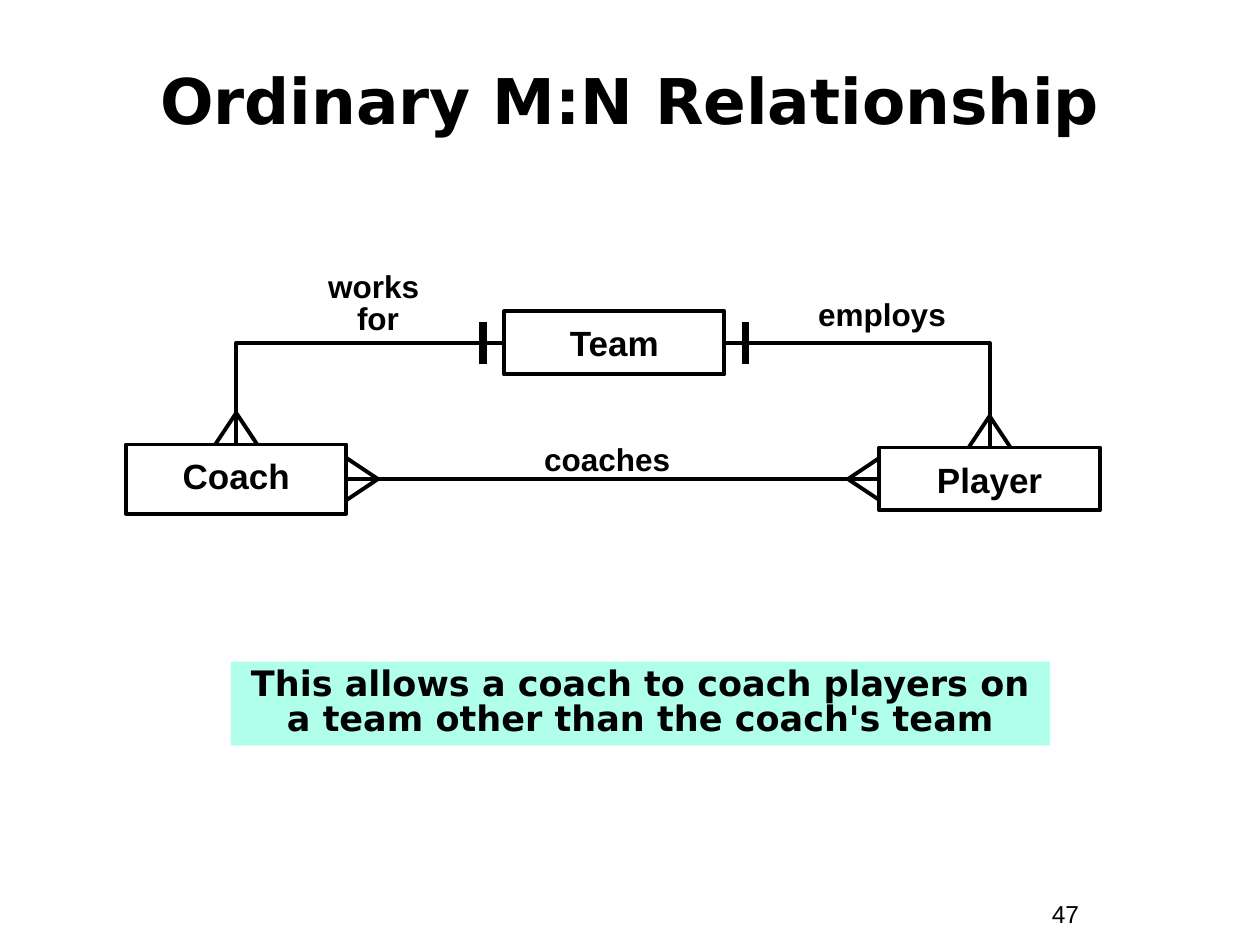
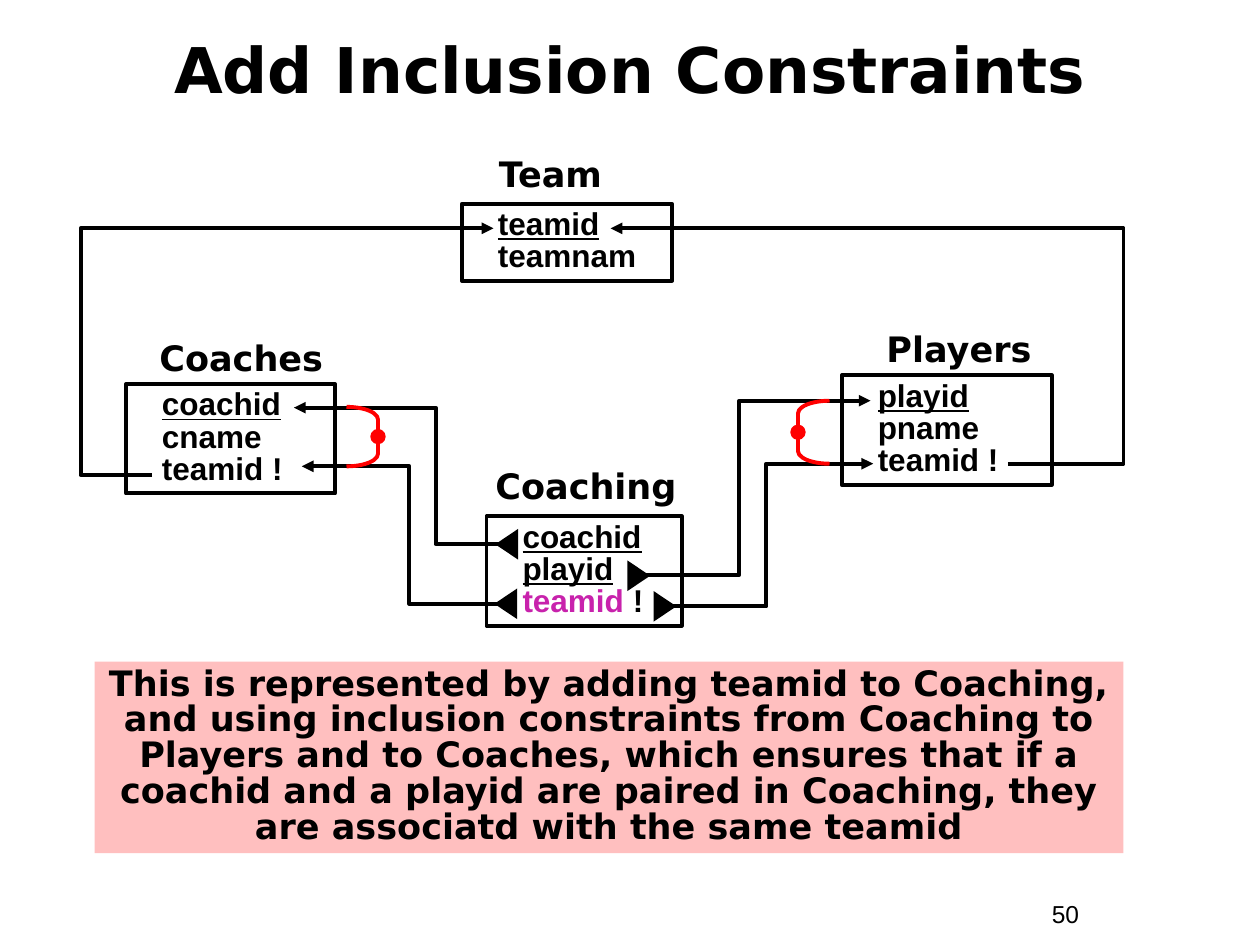
from dataclasses import dataclass
from typing import Optional

from lxml import etree
from pptx import Presentation
from pptx import util as u
from pptx.dml.color import RGBColor
from pptx.enum import shapes, text
from pptx.oxml.ns import qn

INK = RGBColor(0x00, 0x00, 0x00)
MINT = RGBColor(0xAF, 0xFF, 0xEA)
PINK = RGBColor(0xFF, 0xBF, 0xBF)
RED = RGBColor(0xFF, 0x00, 0x00)
MAGENTA = RGBColor(0xC8, 0x22, 0xAC)

SANS = "Arial"
DISPLAY = "DejaVu Sans"
STROKE = 2.25
TIGHT = 0.85
TOP, LEFT, BOTTOM, RIGHT = range(4)
OUTWARD = {TOP: (0, -1), LEFT: (-1, 0), BOTTOM: (0, 1), RIGHT: (1, 0)}
FOOT_LENGTH, HALF_FOOT = 18, 12
BAR_GAP, HALF_BAR = 12, 12

Point = tuple[float, float]


@dataclass(frozen=True)
class Box:
    left: float
    top: float
    width: float
    height: float

    def lengths(self) -> list[int]:
        return [u.Pt(v) for v in (self.left, self.top, self.width, self.height)]

    def side(self, side: int) -> Point:
        dx, dy = OUTWARD[side]
        return (self.left + self.width * (1 + dx) / 2,
                self.top + self.height * (1 + dy) / 2)


@dataclass(frozen=True)
class Field:
    name: str
    key: bool = False
    color: RGBColor = INK
    mark: str = ""


@dataclass(frozen=True)
class Relation:
    heading: str
    heading_at: Point
    box: Box
    fields: tuple[Field, ...]


@dataclass(frozen=True)
class Reference:
    start: Point
    end: Point
    bend_x: float


@dataclass(frozen=True)
class Label:
    words: str
    box: Box
    spacing: float = TIGHT


@dataclass(frozen=True)
class Constraint:
    box: Box
    kind: int
    bulge: int


def write(paragraph, words: str, *, size: float, font: str = SANS, bold: bool = True,
          color: RGBColor = INK, underline: bool = False, spacing: float = 1,
          align: int = text.PP_ALIGN.LEFT) -> None:
    paragraph.alignment = align
    paragraph.line_spacing = spacing
    for index, piece in enumerate(words.split("\v")):
        if index:
            paragraph.add_line_break()
        run = paragraph.add_run()
        run.text = piece
        run.font.name = font
        run.font.size = u.Pt(size)
        run.font.bold = bold
        run.font.underline = underline
        run.font.color.rgb = color


def add_text(slide, box: Box, words: str, **style) -> None:
    frame = slide.shapes.add_textbox(*box.lengths()).text_frame
    frame.word_wrap = True
    write(frame.paragraphs[0], words, **style)


def add_figure(slide, kind: int, box: Box, *, fill: Optional[RGBColor] = None,
               line: Optional[RGBColor] = None):
    figure = slide.shapes.add_shape(kind, *box.lengths())
    figure.shadow.inherit = False
    if fill is None:
        figure.fill.background()
    else:
        figure.fill.solid()
        figure.fill.fore_color.rgb = fill
    if line is None:
        figure.line.fill.background()
    else:
        figure.line.color.rgb = line
        figure.line.width = u.Pt(STROKE)
    figure.text_frame.word_wrap = True
    figure.text_frame.vertical_anchor = text.MSO_ANCHOR.TOP
    return figure


def add_line(slide, start: Point, end: Point, *, width: float = STROKE,
             kind: int = shapes.MSO_CONNECTOR.STRAIGHT):
    line = slide.shapes.add_connector(kind, *[u.Pt(v) for v in (*start, *end)])
    line.line.color.rgb = INK
    line.line.width = u.Pt(width)
    etree.SubElement(line._element.spPr, qn("a:effectLst"))
    return line


def link_entities(slide, entities: dict, start: tuple[str, int], end: tuple[str, int],
                  cornered: bool) -> None:
    (start_box, start_shape), (end_box, end_shape) = entities[start[0]], entities[end[0]]
    kind = shapes.MSO_CONNECTOR.ELBOW if cornered else shapes.MSO_CONNECTOR.STRAIGHT
    link = add_line(slide, start_box.side(start[1]), end_box.side(end[1]), kind=kind)
    if cornered:
        link._element.spPr.find(qn("a:prstGeom")).set("prst", "bentConnector2")
    link.begin_connect(start_shape, start[1])
    link.end_connect(end_shape, end[1])


def add_crow_foot(slide, box: Box, side: int) -> None:
    x, y = box.side(side)
    dx, dy = OUTWARD[side]
    apex = (x + dx * FOOT_LENGTH, y + dy * FOOT_LENGTH)
    for spread in (-HALF_FOOT, HALF_FOOT):
        add_line(slide, apex, (x + dy * spread, y + dx * spread))


def add_one_bar(slide, box: Box, side: int) -> None:
    x, y = box.side(side)
    x += OUTWARD[side][0] * BAR_GAP
    add_line(slide, (x, y - HALF_BAR), (x, y + HALF_BAR), width=4.5)


def add_reference(slide, reference: Reference) -> None:
    (x1, _), (x2, _) = reference.start, reference.end
    arrow = add_line(slide, reference.start, reference.end, kind=shapes.MSO_CONNECTOR.ELBOW)
    bend = round((reference.bend_x - x1) / (x2 - x1) * 100000)
    geometry = arrow._element.spPr.find(qn("a:prstGeom"))
    adjustments = geometry.find(qn("a:avLst"))
    if adjustments is None:
        adjustments = etree.SubElement(geometry, qn("a:avLst"))
    etree.SubElement(adjustments, qn("a:gd"), name="adj1", fmla=f"val {bend}")
    etree.SubElement(arrow.line._get_or_add_ln(), qn("a:tailEnd"), type="triangle")


def add_relation(slide, relation: Relation) -> None:
    add_text(slide, Box(*relation.heading_at, 124, 31.5), relation.heading,
             size=20, font=DISPLAY)
    frame = add_figure(slide, shapes.MSO_SHAPE.RECTANGLE, relation.box, line=INK).text_frame
    for index, field in enumerate(relation.fields):
        row = frame.add_paragraph() if index else frame.paragraphs[0]
        row._p.get_or_add_pPr().set("marL", str(u.Pt(13.5)))
        write(row, field.name, size=18, color=field.color, underline=field.key, spacing=TIGHT)
        if field.mark:
            write(row, field.mark, size=18, spacing=TIGHT)


def add_constraint(slide, constraint: Constraint) -> None:
    bracket = add_figure(slide, constraint.kind, constraint.box, line=RED)
    bracket.adjustments[0] = 0.4
    x, y = constraint.box.side(constraint.bulge)
    dot = 6.5
    add_figure(slide, shapes.MSO_SHAPE.OVAL, Box(x - dot / 2, y - dot / 2, dot, dot),
               fill=RED, line=RED)


def add_wedge(slide, center: Point, rotation: int) -> None:
    width, height = 17.5, 13
    box = Box(center[0] - width / 2, center[1] - height / 2, width, height)
    add_figure(slide, shapes.MSO_SHAPE.ISOSCELES_TRIANGLE, box, fill=INK).rotation = rotation


def add_note(slide, box: Box, words: str, fill: RGBColor) -> None:
    note = add_figure(slide, shapes.MSO_SHAPE.RECTANGLE, box, fill=fill)
    write(note.text_frame.paragraphs[0], words, size=20, font=DISPLAY, spacing=TIGHT,
          align=text.PP_ALIGN.CENTER)


def start_slide(deck, title: str, title_top: float, number: str):
    slide = deck.slides.add_slide(deck.slide_layouts[5])
    heading = slide.shapes.title
    heading.left, heading.top, heading.width, heading.height = Box(
        24, title_top, 672, 66).lengths()
    frame = heading.text_frame
    frame.auto_size = text.MSO_AUTO_SIZE.NONE
    frame.vertical_anchor = text.MSO_ANCHOR.MIDDLE
    write(frame.paragraphs[0], title, size=36, font=DISPLAY, align=text.PP_ALIGN.CENTER)
    add_text(slide, Box(594, 510, 66, 24), number, size=14, bold=False)
    return slide


def build_relationship(deck) -> None:
    slide = start_slide(deck, "Ordinary M:N Relationship", 24, "47")
    boxes = {
        "Coach": Box(72, 254, 126, 39.5),
        "Team": Box(288, 178, 126, 36),
        "Player": Box(502.5, 255.75, 126, 36),
    }
    entities = {}
    for name, box in boxes.items():
        entity = add_figure(slide, shapes.MSO_SHAPE.RECTANGLE, box, line=INK)
        entity.text_frame.vertical_anchor = text.MSO_ANCHOR.MIDDLE
        write(entity.text_frame.paragraphs[0], name, size=20, align=text.PP_ALIGN.CENTER,
              spacing=TIGHT if name == "Coach" else 1)
        entities[name] = (box, entity)

    link_entities(slide, entities, ("Team", LEFT), ("Coach", TOP), True)
    link_entities(slide, entities, ("Team", RIGHT), ("Player", TOP), True)
    link_entities(slide, entities, ("Coach", RIGHT), ("Player", LEFT), False)
    for name, side in (("Coach", TOP), ("Coach", RIGHT), ("Player", TOP), ("Player", LEFT)):
        add_crow_foot(slide, boxes[name], side)
    for side in (LEFT, RIGHT):
        add_one_bar(slide, boxes["Team"], side)

    for label in (
        Label("works \vfor", Box(156, 152.5, 120, 44)),
        Label("employs", Box(444, 168.5, 120, 26)),
        Label("coaches", Box(280, 247, 134, 52), 1.05),
    ):
        add_text(slide, label.box, label.words, size=18, spacing=label.spacing,
                 align=text.PP_ALIGN.CENTER)
    add_note(slide, Box(132, 378, 468, 48),
             "This allows a coach to coach players on a team other than the coach's team", MINT)


def build_constraints(deck) -> None:
    slide = start_slide(deck, "Add Inclusion Constraints", 6, "50")
    for relation in (
        Relation("Coaches", (84, 188.5), Box(72, 219.5, 119.5, 62.5),
                 (Field("coachid", key=True), Field("cname"), Field("teamid !"))),
        Relation("Players", (499.5, 183.5), Box(481, 214.5, 120, 62.5),
                 (Field("playid", key=True), Field("pname"), Field("teamid !"))),
        Relation("Team", (278, 83.5), Box(264, 116.5, 120, 44),
                 (Field("teamid", key=True), Field("teamnam"))),
        Relation("Coaching", (276, 262), Box(278, 295, 111.5, 62.5),
                 (Field("coachid", key=True), Field("playid", key=True),
                  Field("teamid", color=MAGENTA, mark=" !"))),
    ):
        add_relation(slide, relation)

    for reference in (
        Reference((87, 271.5), (282, 130.5), 46),
        Reference((576, 265), (349, 130.5), 642),
        Reference((290, 311), (168, 233), 249),
        Reference((294.5, 345), (172.5, 266.5), 234),
        Reference((366.5, 328.5), (497.5, 229), 422.5),
        Reference((376.5, 346.5), (499, 265), 438),
    ):
        add_reference(slide, reference)

    for constraint in (
        Constraint(Box(198, 232.5, 18, 34), shapes.MSO_SHAPE.RIGHT_BRACKET, RIGHT),
        Constraint(Box(456, 229, 18, 36), shapes.MSO_SHAPE.LEFT_BRACKET, LEFT),
    ):
        add_constraint(slide, constraint)

    for center in ((289.5, 311), (289, 345)):
        add_wedge(slide, center, 270)
    for center in ((380, 346.5), (365, 329)):
        add_wedge(slide, center, 90)
    add_note(slide, Box(54, 378, 588, 109.5),
             "This is represented by adding teamid to Coaching, and using inclusion constraints "
             "from Coaching to Players and to Coaches, which ensures that if a coachid and a "
             "playid are paired in Coaching, they are associatd with the same teamid", PINK)


def main() -> None:
    deck = Presentation()
    deck.slide_width, deck.slide_height = u.Pt(720), u.Pt(540)
    build_relationship(deck)
    build_constraints(deck)
    deck.save("out.pptx")


if __name__ == "__main__":
    main()
